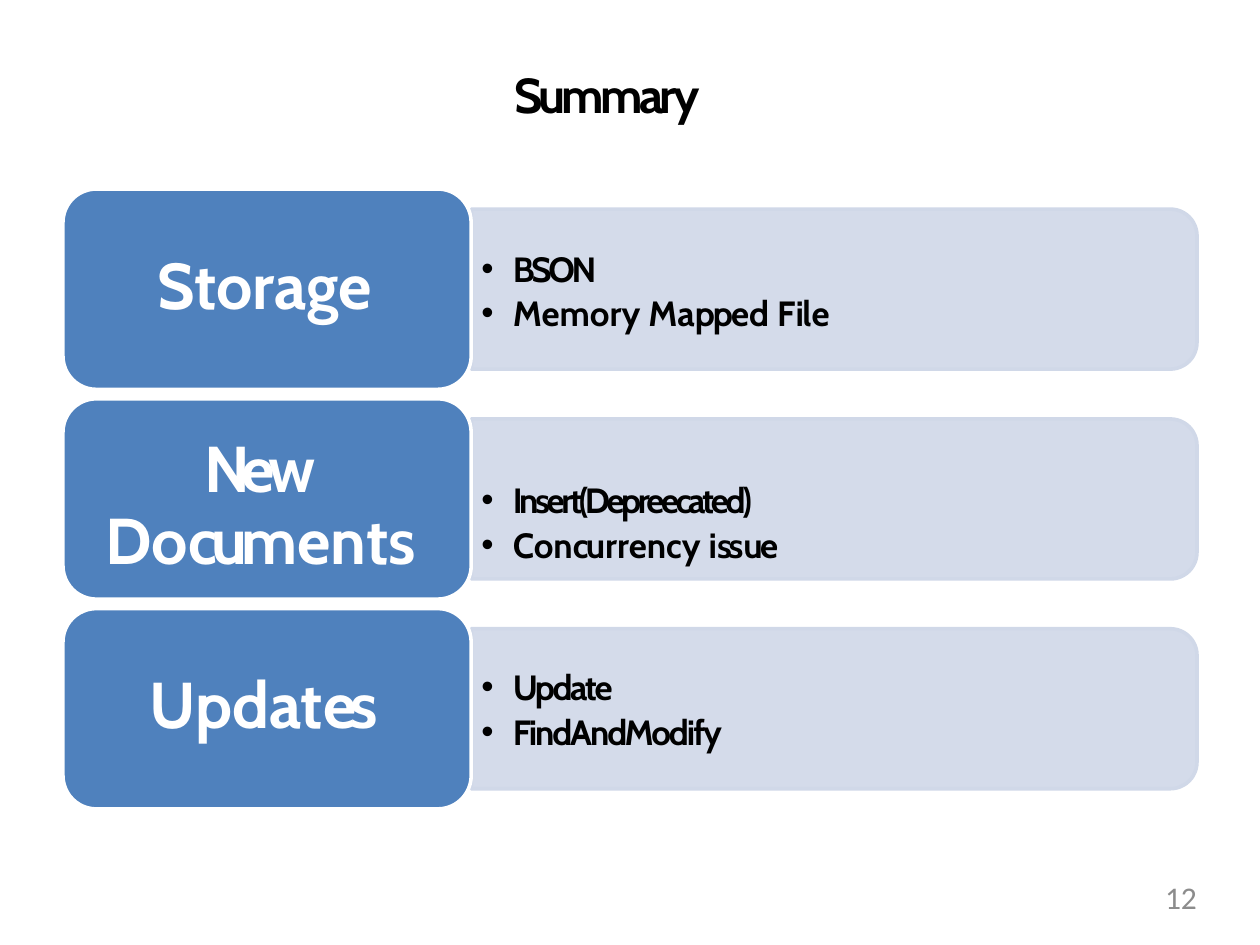
from dataclasses import dataclass

from lxml import etree
from pptx import Presentation
from pptx.dml.color import RGBColor
from pptx.enum.shapes import MSO_SHAPE
from pptx.enum.text import MSO_ANCHOR, MSO_AUTO_SIZE, PP_ALIGN
from pptx.oxml.ns import qn
from pptx.util import Inches, Pt

ROUNDED = MSO_SHAPE.ROUNDED_RECTANGLE
ROUNDED_ONE_SIDE = MSO_SHAPE.ROUND_2_SAME_RECTANGLE
TOP = MSO_ANCHOR.TOP
LEFT, RIGHT = PP_ALIGN.LEFT, PP_ALIGN.RIGHT
NO_AUTOFIT = MSO_AUTO_SIZE.NONE


@dataclass(frozen=True)
class Style:
    size: float
    color: str
    font: str = "Cabin"
    bold: bool = True


@dataclass(frozen=True)
class Theme:
    title: Style = Style(28, "000000")
    label: Style = Style(37, "FFFFFF")
    item: Style = Style(20, "000000")
    number: Style = Style(18, "8C8C8C", "Calibri", False)
    tab: str = "4F81BD"
    tab_edge: str = "FFFFFF"
    panel: str = "D0D8E8"
    edge_width: float = 2.04


@dataclass(frozen=True)
class Span:
    text: str
    spacing: float = 0  # letter spacing in points


@dataclass(frozen=True)
class Box:
    left: float
    top: float
    width: float
    height: float
    inset: float = 0


@dataclass(frozen=True)
class Topic:
    label: list[Span]
    label_box: Box
    items: list[list[Span]]
    items_box: Box
    first_indent: float = 0
    line_height: float | None = None


THEME = Theme()
ROW_TOP, ROW_STEP = 1.5, 1.665
TAB_LEFT, TAB_WIDTH, TAB_HEIGHT = 0.5, 3.24, 1.59
PANEL_WIDTH, PANEL_HEIGHT = 5.76, 1.27
CORNER = 0.1667

TOPICS = [
    Topic(
        [Span("Storage")], Box(1.25, 1.92, 1.8, 0.64, 0.02),
        [[Span("BSON", -1.9)],
         [Span("Memory Ma"), Span("ppe", -1.1), Span("d F"), Span("il", -0.9), Span("e")]],
        Box(3.81, 1.89, 2.83, 0.74, 0.07),
    ),
    Topic(
        [Span("New ", -4), Span("Do"), Span("cum", -3.3), Span("ents")],
        Box(0.84, 3.3, 2.57, 1.21, 0.15),
        [[Span("Insert(Depreecated)", -1.9)],
         [Span("Con"), Span("cu", -1.6), Span("rrency i"), Span("ss", -1.9), Span("ue", -1.5)]],
        Box(3.81, 3.73, 3.39, 0.74, 0.07),
        first_indent=0.78, line_height=40.7,
    ),
    Topic(
        [Span("Updat"), Span("es", -3.3)], Box(1.19, 5.25, 1.9, 0.64, 0.02),
        [[Span("Update", -1.4)], [Span("FindAndModify", -1.2)]],
        Box(3.81, 5.21, 2.15, 0.74, 0.07),
    ),
]


def place(shape, box: Box) -> None:
    """Move a text holder and give its frame plain settings."""
    shape.left, shape.top = Inches(box.left), Inches(box.top)
    shape.width, shape.height = Inches(box.width), Inches(box.height)
    frame = shape.text_frame
    frame.word_wrap = True
    frame.auto_size = NO_AUTOFIT
    frame.vertical_anchor = TOP
    frame.margin_left = frame.margin_right = frame.margin_bottom = 0
    frame.margin_top = Inches(box.inset)


def add_text_box(page, box: Box):
    shape = page.shapes.add_textbox(0, 0, 0, 0)
    place(shape, box)
    return shape


def write(para, spans: list[Span], style: Style, align=LEFT) -> None:
    para.alignment = align
    para.space_before = Pt(0)
    para.font.name = style.font
    para.font.size = Pt(style.size)
    para.font.bold = style.bold
    para.font.color.rgb = RGBColor.from_string(style.color)
    for span in spans:
        run = para.add_run()
        run.text = span.text
        if span.spacing:
            run.font._element.set("spc", str(round(span.spacing * 100)))


def set_indent(para, margin: float, first: float) -> None:
    properties = para._p.get_or_add_pPr()
    properties.set("marL", str(Inches(margin)))
    properties.set("indent", str(Inches(first)))


def add_bullet(para) -> None:
    set_indent(para, 0.26, -0.25)
    properties = para._p.get_or_add_pPr()
    etree.SubElement(properties, qn("a:buFont"), typeface="Arial")
    etree.SubElement(properties, qn("a:buChar"), char="•")


def add_block(page, kind, box: Box, fill: str, edge: str):
    shape = page.shapes.add_shape(
        kind, Inches(box.left), Inches(box.top), Inches(box.width), Inches(box.height))
    shape.shadow.inherit = False
    shape.adjustments[0] = CORNER
    shape.fill.solid()
    shape.fill.fore_color.rgb = RGBColor.from_string(fill)
    shape.line.color.rgb = RGBColor.from_string(edge)
    shape.line.width = Pt(THEME.edge_width)
    return shape


def add_panel(page, middle: float) -> None:
    """A block rounded on its right side: a top-rounded one turned by 90 degrees."""
    center = TAB_LEFT + TAB_WIDTH + PANEL_WIDTH / 2
    box = Box(center - PANEL_HEIGHT / 2, middle - PANEL_WIDTH / 2, PANEL_HEIGHT, PANEL_WIDTH)
    panel = add_block(page, ROUNDED_ONE_SIDE, box, THEME.panel, THEME.panel)
    panel.rotation = 90
    color = panel.fill._xPr.find(qn("a:solidFill"))[0]
    etree.SubElement(color, qn("a:alpha"), val="90000")


def add_topic(page, body, topic: Topic, top: float) -> None:
    add_panel(page, top + TAB_HEIGHT / 2)
    add_block(page, ROUNDED, Box(TAB_LEFT, top, TAB_WIDTH, TAB_HEIGHT), THEME.tab, THEME.tab_edge)

    # Label on the tab
    para = add_text_box(page, topic.label_box).text_frame.paragraphs[0]
    set_indent(para, 0, topic.first_indent)
    if topic.line_height:
        para.line_spacing = Pt(topic.line_height)
    write(para, topic.label, THEME.label)

    # List on the panel, brought in front of it
    place(body, topic.items_box)
    body.element.getparent().append(body.element)
    frame = body.text_frame
    for index, spans in enumerate(topic.items):
        para = frame.add_paragraph() if index else frame.paragraphs[0]
        add_bullet(para)
        write(para, spans, THEME.item)
        if index:
            para.space_before = Pt(1.6)


def main() -> None:
    deck = Presentation()
    deck.slide_width, deck.slide_height = Inches(10), Inches(7.5)
    page = deck.slides.add_slide(deck.slide_layouts.get_by_name("Comparison"))
    title, *bodies = list(page.placeholders)

    # Title
    place(title, Box(4.08, 0.49, 1.69, 0.49, 0.02))
    write(title.text_frame.paragraphs[0], [Span("Summary", -2.1)], THEME.title)

    # Topic rows
    for row, (body, topic) in enumerate(zip(bodies, TOPICS)):
        add_topic(page, body, topic, ROW_TOP + row * ROW_STEP)
    for spare in bodies[len(TOPICS):]:
        spare.element.getparent().remove(spare.element)

    # Slide number
    number = add_text_box(page, Box(7.2, 6.97, 2.3, 0.38))
    write(number.text_frame.paragraphs[0], [Span("12")], THEME.number, RIGHT)

    deck.save("out.pptx")


if __name__ == "__main__":
    main()
